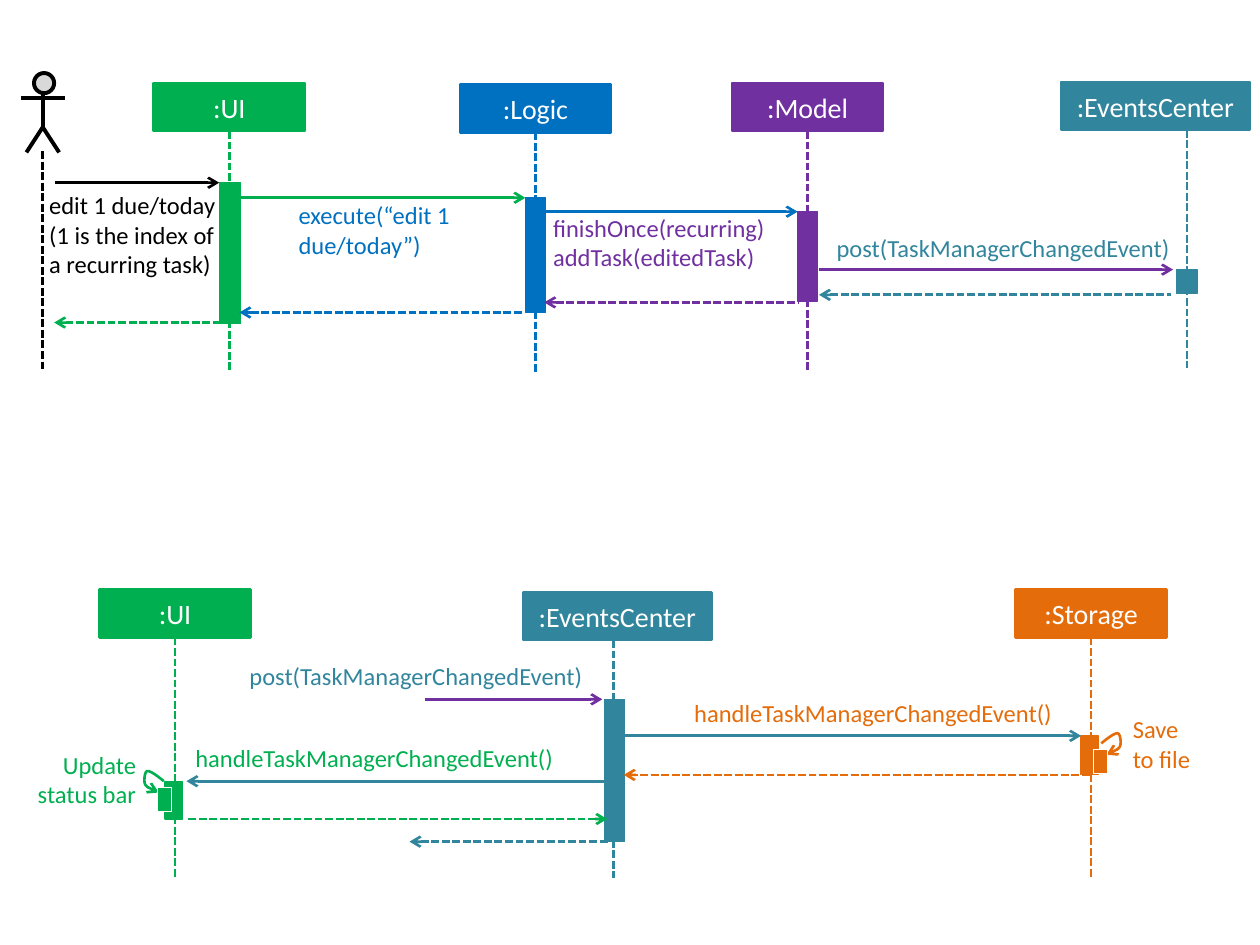
"""Build a slide with two sequence diagrams for editing a recurring task."""
import lxml.etree
import pptx
import pptx.dml.color
import pptx.enum.dml
import pptx.enum.shapes
import pptx.enum.text
import pptx.oxml.ns
import pptx.util

Inches = pptx.util.Inches
RGBColor = pptx.dml.color.RGBColor
SHAPE = pptx.enum.shapes.MSO_SHAPE
ALIGN = pptx.enum.text.PP_ALIGN
qn = pptx.oxml.ns.qn

GREEN = RGBColor(0x00, 0xB0, 0x50)
BLUE = RGBColor(0x00, 0x70, 0xC0)
PURPLE = RGBColor(0x70, 0x30, 0xA0)
TEAL = RGBColor(0x31, 0x85, 0x9C)
ORANGE = RGBColor(0xE4, 0x6C, 0x0A)
BLACK = RGBColor(0x00, 0x00, 0x00)
GREY = RGBColor(0xD9, 0xD9, 0xD9)
WHITE = RGBColor(0xFF, 0xFF, 0xFF)

deck = pptx.Presentation()
deck.slide_width = Inches(10)
deck.slide_height = Inches(7.5)
page = deck.slides.add_slide(deck.slide_layouts[6])


def write(box, text, size=14, colour=BLACK, align=ALIGN.LEFT):
    box.text_frame.text = text
    for para in box.text_frame.paragraphs:
        para.alignment = align
        for span in para.runs:
            span.font.name = "Calibri"
            span.font.size = pptx.util.Pt(size)
            span.font.color.rgb = colour


def draw_line(start, end, colour, dashed=False, arrow=None, weight=1.5):
    line = page.shapes.add_connector(
        pptx.enum.shapes.MSO_CONNECTOR.STRAIGHT, *map(Inches, start + end))
    line.line.color.rgb = colour
    line.line.width = pptx.util.Pt(weight)
    if dashed:
        line.line.dash_style = pptx.enum.dml.MSO_LINE.SQUARE_DOT
    properties = line.element.spPr
    if arrow:
        lxml.etree.SubElement(properties.find(qn("a:ln")), qn(f"a:{arrow}End"), type="arrow")
    lxml.etree.SubElement(properties, qn("a:effectLst"))
    return line


# name, colour, header left, top, width, lifeline x, lifeline end, activation bar
participants = [
    (":UI", GREEN, 1.22, 0.66, 1.2, 1.82, 2.95, (1.74, 1.45, 0.17, 1.12)),
    (":Logic", BLUE, 3.65, 0.67, 1.2, 4.25, 2.95, (4.17, 1.57, 0.16, 0.91)),
    (":Model", PURPLE, 5.81, 0.66, 1.2, 6.41, 2.95, (6.33, 1.68, 0.16, 0.71)),
    (":EventsCenter", TEAL, 8.42, 0.65, 1.5, 9.42, 2.92, (9.34, 2.14, 0.16, 0.19)),
    (":UI", GREEN, 0.79, 4.68, 1.2, 1.39, 6.96, (1.31, 6.2, 0.14, 0.3)),
    (":EventsCenter", TEAL, 4.15, 4.7, 1.5, 4.87, 6.97, (4.8, 5.55, 0.16, 1.13)),
    (":Storage", ORANGE, 8.06, 4.68, 1.2, 8.66, 6.96, (8.58, 5.84, 0.14, 0.31)),
]
for name, colour, left, top, width, life_x, life_end, bar_place in participants:
    header_place = (left, top, width, 0.38)
    lifeline = draw_line((life_x, top + 0.38), (life_x, life_end), colour, dashed=True)
    for place, weight, label in ((header_place, 1.5, name), (bar_place, 0.75, "")):
        box = page.shapes.add_shape(SHAPE.RECTANGLE, *map(Inches, place))
        box.shadow.inherit = False
        box.fill.solid()
        box.fill.fore_color.rgb = colour
        box.line.color.rgb = colour
        box.line.width = pptx.util.Pt(weight)
        if label:
            write(box, label, size=16, colour=WHITE, align=ALIGN.CENTER)
            if abs(left + width / 2 - life_x) < 0.01:
                lifeline.begin_connect(box, 2)

head = page.shapes.add_shape(SHAPE.FLOWCHART_CONNECTOR, *map(Inches, (0.27, 0.58, 0.16, 0.16)))
head.shadow.inherit = False
head.fill.solid()
head.fill.fore_color.rgb = GREY
head.line.color.rgb = BLACK
head.line.width = pptx.util.Pt(2.25)
body = draw_line((0.34, 0.74), (0.34, 1.02), BLACK, weight=2.25)
arms = draw_line((0.17, 0.78), (0.52, 0.78), BLACK, weight=2.25)
builder = page.shapes.build_freeform(Inches(0.21), Inches(1.21))
builder.add_line_segments(
    [(Inches(0.34), Inches(1.01)), (Inches(0.47), Inches(1.21))], close=False)
legs = builder.convert_to_shape()
legs.shadow.inherit = False
legs.fill.background()
legs.line.color.rgb = BLACK
legs.line.width = pptx.util.Pt(2.25)
page.shapes.add_group_shape([head, body, legs, arms])
draw_line((0.34, 1.2), (0.34, 2.95), BLACK, dashed=True)

calls = [
    (0.44, 1.74, 1.45, BLACK), (1.9, 4.17, 1.57, GREEN), (4.32, 6.33, 1.68, BLUE),
    (6.5, 9.31, 2.14, PURPLE), (3.37, 4.78, 5.55, PURPLE), (4.95, 8.58, 5.84, TEAL),
]
for start_x, end_x, y, colour in calls:
    draw_line((start_x, y), (end_x, y), colour, arrow="tail")
draw_line((1.48, 6.2), (4.82, 6.2), TEAL, arrow="head")

replies = [
    (4.32, 6.33, 2.4, PURPLE, "head"), (1.9, 4.15, 2.48, BLUE, "head"),
    (0.43, 1.74, 2.56, GREEN, "head"), (6.5, 9.29, 2.34, TEAL, "head"),
    (8.65, 4.95, 6.15, ORANGE, "tail"), (3.25, 4.84, 6.68, TEAL, "head"),
    (4.82, 1.48, 6.5, GREEN, "head"),
]
for start_x, end_x, y, colour, arrow in replies:
    draw_line((start_x, y), (end_x, y), colour, dashed=True, arrow=arrow)

labels = [
    ("edit 1 due/today\n(1 is the index of a recurring task)", 0.39, 1.51, 1.38, 0.71, BLACK),
    ("execute(“edit 1 due/today”)", 2.37, 1.59, 1.56, 0.47, BLUE),
    ("finishOnce(recurring)\naddTask(editedTask)", 4.39, 1.69, 1.87, 0.47, PURPLE),
    ("post(TaskManagerChangedEvent)", 6.64, 1.85, 2.67, 0.24, TEAL),
    ("post(TaskManagerChangedEvent)", 1.98, 5.25, 2.97, 0.24, TEAL),
    ("handleTaskManagerChangedEvent()", 5.51, 5.54, 2.91, 0.24, ORANGE),
    ("handleTaskManagerChangedEvent()", 1.55, 5.9, 2.91, 0.24, GREEN),
    ("Update status bar", 0.21, 5.95, 0.87, 0.47, GREEN),
    ("Save\vto file", 8.99, 5.67, 0.59, 0.47, ORANGE),
]
for text, left, top, width, height, colour in labels:
    box = page.shapes.add_textbox(*map(Inches, (left, top, width, height)))
    frame = box.text_frame
    frame.word_wrap = True
    frame.auto_size = pptx.enum.text.MSO_AUTO_SIZE.SHAPE_TO_FIT_TEXT
    frame.margin_left = frame.margin_right = frame.margin_top = frame.margin_bottom = 0
    write(box, text, colour=colour,
          align=ALIGN.RIGHT if text.startswith("Update") else ALIGN.LEFT)

curves = [
    ((1.26, 6.29), (1.21, 6.27), (1.16, 6.25), (1.15, 6.22)),
    ((1.15, 6.22), (1.14, 6.19), (1.15, 6.12), (1.17, 6.12)),
    ((1.17, 6.12), (1.2, 6.12), (1.25, 6.16), (1.3, 6.2)),
]
steps = 10
loop_points = [curves[0][0]]
for curve in curves:
    for step in range(1, steps + 1):
        t = step / steps
        weights = ((1 - t) ** 3, 3 * t * (1 - t) ** 2, 3 * t ** 2 * (1 - t), t ** 3)
        loop_points.append(tuple(
            sum(weight * point[axis] for weight, point in zip(weights, curve))
            for axis in (0, 1)))

for colour, mirrored, rise, left in ((GREEN, False, 0, 1.25), (ORANGE, True, 0.3, 8.68)):
    points = [(Inches(10.04 - x if mirrored else x), Inches(y - rise)) for x, y in loop_points]
    builder = page.shapes.build_freeform(*points[0])
    builder.add_line_segments(points[1:], close=False)
    self_call = builder.convert_to_shape()
    self_call.shadow.inherit = False
    self_call.fill.background()
    self_call.line.color.rgb = colour
    self_call.line.width = pptx.util.Pt(1.5)
    outline = self_call.element.spPr.find(qn("a:ln"))
    lxml.etree.SubElement(outline, qn("a:headEnd"), type="arrow")
    inner_bar = page.shapes.add_shape(
        SHAPE.RECTANGLE, *map(Inches, (left, 6.25 - rise, 0.11, 0.19)))
    inner_bar.shadow.inherit = False
    inner_bar.fill.solid()
    inner_bar.fill.fore_color.rgb = colour
    inner_bar.line.color.rgb = WHITE
    inner_bar.line.width = pptx.util.Pt(0.75)
    page.shapes.add_group_shape([self_call, inner_bar])

deck.save("out.pptx")
